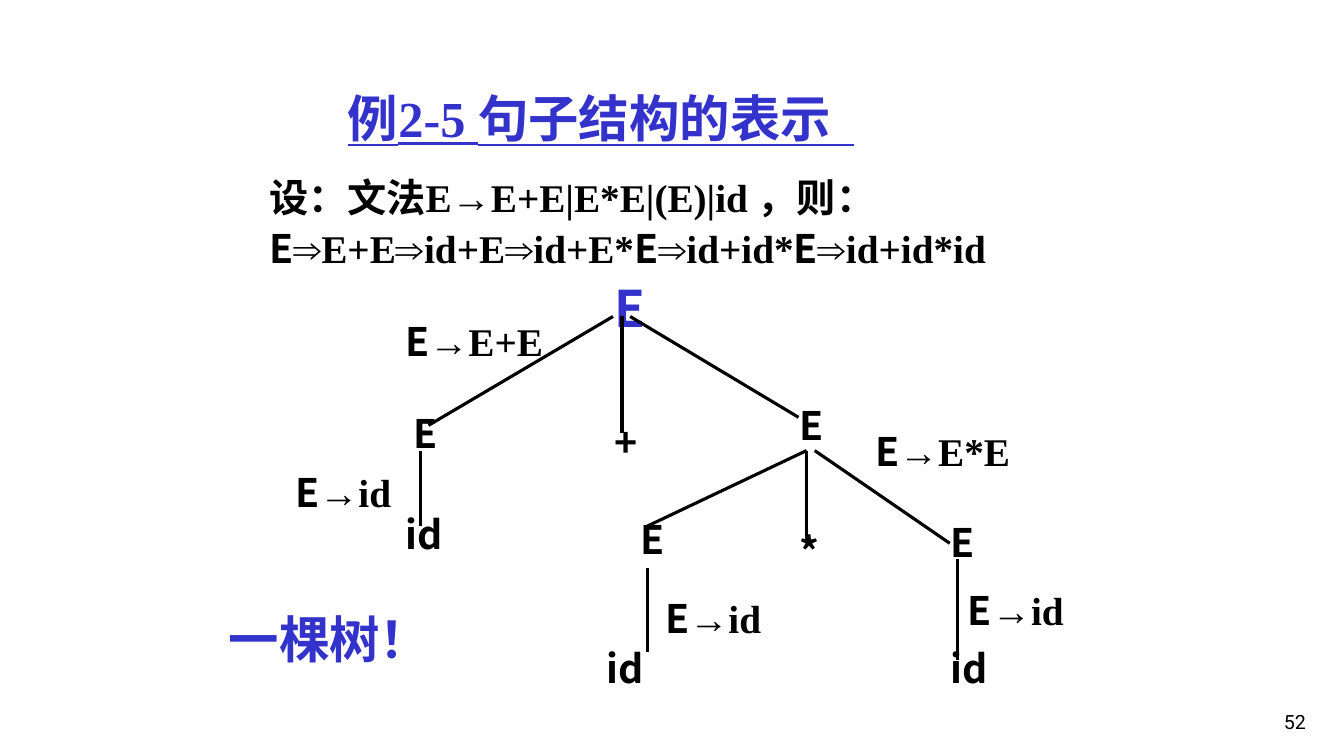
from pptx import Presentation
from pptx.dml.color import RGBColor
from pptx.enum.shapes import MSO_CONNECTOR
from pptx.enum.text import MSO_ANCHOR, PP_ALIGN
from pptx.oxml.ns import qn
from pptx.util import Pt

STRAIGHT = MSO_CONNECTOR.STRAIGHT
TOP, MIDDLE, BOTTOM = MSO_ANCHOR.TOP, MSO_ANCHOR.MIDDLE, MSO_ANCHOR.BOTTOM
LEFT, CENTER, RIGHT = PP_ALIGN.LEFT, PP_ALIGN.CENTER, PP_ALIGN.RIGHT
BLUE = RGBColor(0x33, 0x33, 0xCC)
BLACK = RGBColor(0x00, 0x00, 0x00)
WHITE = RGBColor(0xFF, 0xFF, 0xFF)
SERIF, SANS = "Times New Roman", "Noto Sans CJK SC"
SANS_JP, NUMBER_FONT = "Noto Sans CJK JP", "Roboto"
PX = 9144
TITLE_ONLY = 5


def add_run(paragraph, text, font=SANS, size=28, color=BLACK, bold=True, underline=False):
    """Append one formatted run to a paragraph."""
    run = paragraph.add_run()
    run.text = text
    run.font.name = font
    run.font.size = Pt(size)
    run.font.bold = bold
    run.font.underline = underline
    run.font.color.rgb = color
    east_asian = SANS if font == SERIF else font
    run.font._element.get_or_add_latin().addnext(
        run.font._element.makeelement(qn("a:ea"), {"typeface": east_asian}))


class TreeSlide:
    """Holds the slide and draws its title, texts and branches."""

    def __init__(self, presentation):
        self.slide = presentation.slides.add_slide(presentation.slide_layouts[TITLE_ONLY])
        self.slide.background.fill.solid()
        self.slide.background.fill.fore_color.rgb = WHITE

    def fill_frame(self, shape, runs, anchor, align, spacing, **style):
        """Write the runs as the only paragraph of a shape."""
        frame = shape.text_frame
        frame.word_wrap = True
        frame.vertical_anchor = anchor
        paragraph = frame.paragraphs[0]
        paragraph.alignment = align
        paragraph.line_spacing = spacing
        for text, font in runs:
            add_run(paragraph, text, font=font, **style)

    def title(self, left, top, width, height, text):
        """Move and format the title placeholder."""
        shape = self.slide.shapes.title
        shape.left, shape.top = left * PX, top * PX
        shape.width, shape.height = width * PX, height * PX
        self.fill_frame(shape, [(text, SERIF)], MIDDLE, CENTER, 1.0,
                        size=36, color=BLUE, underline=True)

    def text(self, left, top, width, height, runs, anchor=TOP, align=LEFT, spacing=1.1, **style):
        """Add a wrapping text box."""
        shape = self.slide.shapes.add_textbox(left * PX, top * PX, width * PX, height * PX)
        self.fill_frame(shape, runs, anchor, align, spacing, **style)

    def node(self, left, top, symbol):
        """Add a grammar symbol of the tree."""
        self.text(left, top, 125, 56, [(symbol, SANS)])

    def rule(self, left, top, width, production):
        """Add the production used at a branch."""
        self.text(left, top, width, 58, [("E", SANS), (production, SERIF)])

    def branch(self, x1, y1, x2, y2):
        """Add a straight tree edge."""
        line = self.slide.shapes.add_connector(STRAIGHT, x1 * PX, y1 * PX, x2 * PX, y2 * PX)
        line.line.color.rgb = BLACK
        line.line.width = Pt(2.25)
        properties = line._element.spPr
        properties.append(properties.makeelement(qn("a:effectLst"), {}))


NODES = [
    (400, 397, "E"), (600, 405, "+"), (783, 389, "E"),
    (392, 497, "id"), (625, 502, "E"), (783, 514, "*"), (933, 505, "E"),
    (592, 630, "id"), (933, 630, "id"),
]
BRANCHES = [
    (425, 422, 608, 314), (617, 430, 617, 314), (792, 414, 625, 314),
    (417, 522, 417, 447),
    (642, 522, 800, 447), (800, 447, 800, 539), (808, 447, 942, 539),
    (642, 564, 642, 647), (950, 555, 950, 655),
]
RULES = [
    (392, 305, 158, "→E+E"), (283, 455, 117, "→id"), (858, 414, 158, "→E*E"),
    (650, 580, 117, "→id"), (950, 572, 125, "→id"),
]
DERIVATION = [
    ("设：文法E→E+E|E*E|(E)|id ，则：", SERIF),
    ("E", SANS), ("⇒E+E⇒id+E⇒id+E*", SERIF),
    ("E", SANS), ("⇒id+id*", SERIF),
    ("E", SANS), ("⇒id+id*id", SERIF),
]


def main():
    """Build the slide and save it."""
    presentation = Presentation()
    presentation.slide_width, presentation.slide_height = 1333 * PX, 750 * PX
    page = TreeSlide(presentation)
    page.title(250, 58, 692, 117, "例2-5 句子结构的表示  ")
    page.text(600, 264, 125, 69, [("E", SANS)], size=36, color=BLUE)
    for node in NODES:
        page.node(*node)
    for branch in BRANCHES:
        page.branch(*branch)
    for rule in RULES:
        page.rule(*rule)
    page.text(257, 162, 825, 114, DERIVATION)
    page.text(217, 592, 300, 73, [("一棵树", SANS_JP), ("！", SANS)], size=36, color=BLUE)
    page.text(1027, 683, 278, 50, [("52", NUMBER_FONT)], anchor=BOTTOM, align=RIGHT,
              spacing=1.0, size=14, bold=False)
    presentation.save("out.pptx")


if __name__ == "__main__":
    main()
